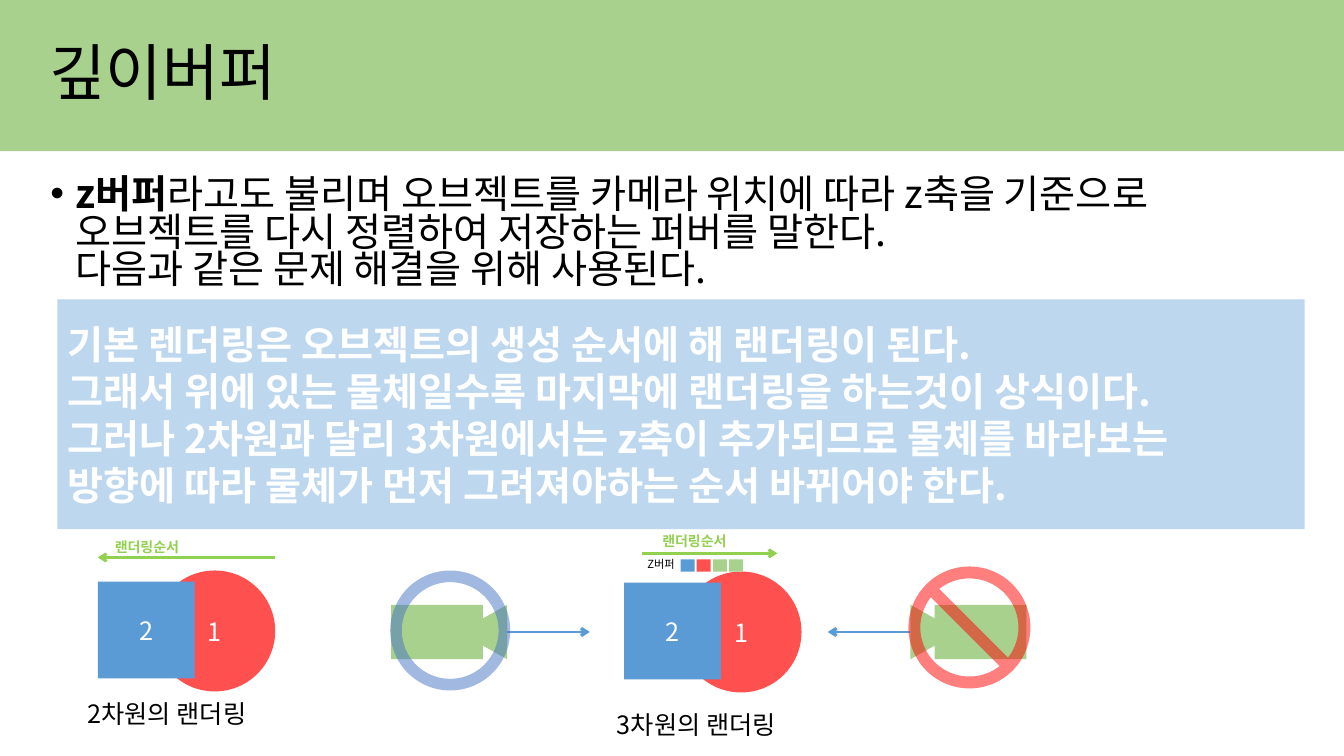
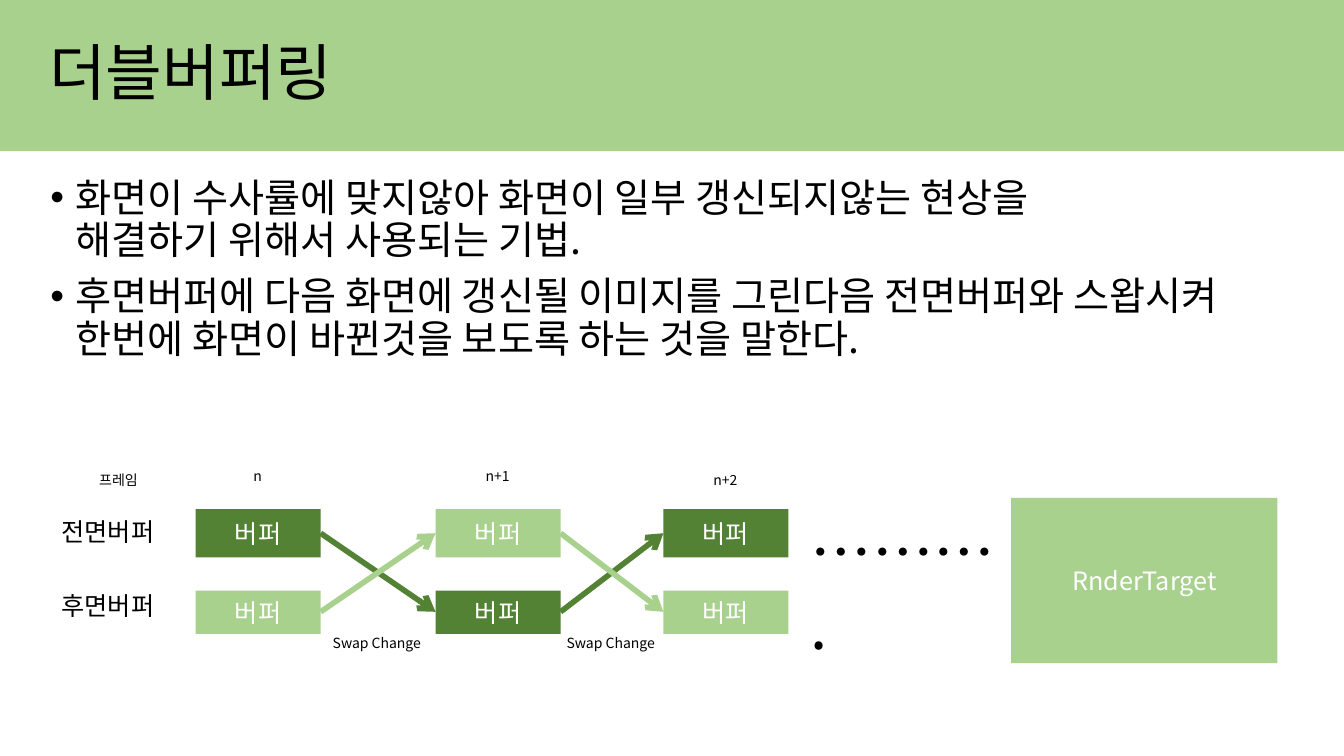
from pptx import Presentation
from pptx.dml.color import RGBColor
from pptx.enum.shapes import MSO_CONNECTOR, MSO_SHAPE as SHAPE
from pptx.enum.text import MSO_ANCHOR as ANCHOR, PP_ALIGN as ALIGN
from pptx.oxml.ns import qn
from pptx.util import Emu, Pt
from lxml.etree import SubElement

PX = 9144  # 100 px to the inch
FONT = "Noto Sans CJK KR"
BLACK, WHITE = "000000", "FFFFFF"
GREEN, DARK_GREEN, LIME = "A9D18E", "548235", "92D050"
BLUE, PALE_BLUE, RED = "5B9BD5", "BDD7EE", "FF5050"
ALLOWED, FORBIDDEN = "4472C4", "FF0000"

# A paragraph is a list of (text, bold) runs.
DEPTH = {
    "title": "깊이버퍼",
    "bullets": [[
        ("z버퍼", True),
        ("라고도 불리며 오브젝트를 카메라 위치에 따라 z축을 기준으로 오브젝트를 다시 "
         "정렬하여 저장하는 퍼버를 말한다.\n다음과 같은 문제 해결을 위해 사용된다.", False),
    ]],
    "problem": "기본 렌더링은 오브젝트의 생성 순서에 해 랜더링이 된다.\n"
               "그래서 위에 있는 물체일수록 마지막에 랜더링을 하는것이 상식이다.\n"
               "그러나 2차원과 달리 3차원에서는 z축이 추가되므로 물체를 바라보는\n"
               "방향에 따라 물체가 먼저 그려져야하는 순서 바뀌어야 한다.",
}
# object corner, caption box, order arrow (from x, to x, y), order label box
RENDERINGS = [
    ((97, 577), "2차원의 랜더링", (77, 688, 305, 41), (273, 97, 553), (104, 529, 109, 27)),
    ((619, 578), "3차원의 랜더링", (602, 699, 196, 40), (637, 771, 549), (647, 523, 109, 27)),
]
CAMERAS = [(503, 1), (903, -1)]  # lens front, facing direction
VERDICTS = [
    (SHAPE.DONUT, (387, 566, 119, 119), ALLOWED, 0.097),
    (SHAPE.NO_SYMBOL, (901, 562, 121, 121), FORBIDDEN, 0.098),
]
Z_BUFFER = [BLUE, RED, GREEN, GREEN]

DOUBLE = {
    "title": "더블버퍼링",
    "bullets": [
        [("화면이 수사률에 맞지않아 화면이 일부 갱신되지않는 현상을\n"
          "해결하기 위해서 사용되는 기법.", False)],
        [("후면버퍼에 다음 화면에 갱신될 이미지를 그린다음 전면버퍼와 스왑시켜 "
          "한번에 화면이 바뀐것을 보도록 하는 것을 말한다.", False)],
    ],
}
FRAMES = [("n", 194, 464), ("n+1", 432, 464), ("n+2", 658, 468)]  # left, label top
BUFFERS = [("전면버퍼", 505, 48, 512), ("후면버퍼", 586, 43, 586)]  # top, height, label top
BUFFER_WIDTH = 124
SHADES = [DARK_GREEN, GREEN]


def box(rect):
    return [Emu(length * PX) for length in rect]


def color(value):
    return RGBColor.from_string(value)


def write(shape, text, size=18, ink=BLACK, bold=False, align=ALIGN.LEFT,
          anchor=ANCHOR.TOP, spacing=None, bullet=False, inset=True):
    """Fill a shape with a string or a list of paragraphs."""
    frame = shape.text_frame
    frame.word_wrap = True
    frame.vertical_anchor = anchor
    if not inset:
        frame.margin_left = frame.margin_right = frame.margin_top = frame.margin_bottom = 0
    paragraphs = [[(text, bold)]] if isinstance(text, str) else text
    for index, runs in enumerate(paragraphs):
        paragraph = frame.add_paragraph() if index else frame.paragraphs[0]
        paragraph.alignment = align
        if spacing:
            paragraph.line_spacing = spacing
        if bullet:
            if index:
                paragraph.space_before = Pt(10)
            properties = paragraph._p.get_or_add_pPr()
            properties.set("marL", str(25 * PX))
            properties.set("indent", str(-25 * PX))
            SubElement(properties, qn("a:buFont")).set("typeface", "Arial")
            SubElement(properties, qn("a:buChar")).set("char", "•")
        for content, strong in runs:
            for number, line in enumerate(content.split("\n")):
                if number:
                    paragraph.add_line_break()
                run = paragraph.add_run()
                run.text = line
                font = run.font
                font.size, font.bold, font.name = Pt(size), strong, FONT
                font.color.rgb = color(ink)
                SubElement(run._r.get_or_add_rPr(), qn("a:ea")).set("typeface", FONT)


def add_text(slide, rect, text, **text_format):
    write(slide.shapes.add_textbox(*box(rect)), text, **text_format)


def add_shape(slide, rect, fill, kind=SHAPE.RECTANGLE, text=None, rotation=0,
              adjustment=None, opacity=None, **text_format):
    shape = slide.shapes.add_shape(kind, *box(rect))
    shape.shadow.inherit = False
    shape.fill.solid()
    shape.fill.fore_color.rgb = color(fill)
    shape.line.fill.background()
    shape.rotation = rotation
    if adjustment is not None:
        shape.adjustments[0] = adjustment
    if opacity is not None:
        shade = shape._element.spPr.find(qn("a:solidFill"))[0]
        SubElement(shade, qn("a:alpha")).set("val", str(opacity * 1000))
    if text:
        style = {"ink": WHITE, "align": ALIGN.CENTER, "anchor": ANCHOR.MIDDLE}
        write(shape, text, **{**style, **text_format})


def add_arrow(slide, start, end, ink, width=2):
    arrow = slide.shapes.add_connector(MSO_CONNECTOR.STRAIGHT, *box(start + end))
    arrow.line.color.rgb = color(ink)
    arrow.line.width = Pt(width)
    SubElement(arrow.line._get_or_add_ln(), qn("a:tailEnd")).set("type", "arrow")
    SubElement(arrow._element.spPr, qn("a:effectLst"))


def add_base(presentation, content, body_height, spacing):
    """Add a slide with the title band and the bulleted body."""
    slide = presentation.slides.add_slide(presentation.slide_layouts[6])
    add_shape(slide, (0, 0, 1333, 150), GREEN)
    add_text(slide, (39, 2, 1150, 145), content["title"], size=44,
             anchor=ANCHOR.MIDDLE, spacing=0.9)
    add_text(slide, (40, 172, 1271, body_height), content["bullets"], size=28,
             spacing=spacing, bullet=True)
    return slide


def add_camera(slide, front, facing):
    def left(near, width):
        """Left edge of a part whose far side lies `near` px behind the lens front."""
        return front - near if facing > 0 else front + near - width

    add_shape(slide, (left(51, 54), 603, 54, 48), GREEN, SHAPE.FLOWCHART_EXTRACT,
              rotation=-90 * facing)
    add_shape(slide, (left(115, 91), 600, 91, 54), GREEN)
    add_arrow(slide, (front, 627), (front + 82 * facing, 627), BLUE)


def build_depth_buffer(presentation):
    slide = add_base(presentation, DEPTH, 135, 0.8)
    add_shape(slide, (57, 297, 1237, 228), PALE_BLUE, text=DEPTH["problem"], size=28,
              bold=True, align=ALIGN.LEFT)
    for (left, top), caption, caption_box, (start, end, level), label_box in RENDERINGS:
        add_shape(slide, (left + 56, top - 11, 120, 120), RED, SHAPE.OVAL, text="1")
        add_shape(slide, (left, top, 96, 96), BLUE, text="2")
        add_text(slide, caption_box, caption)
        add_arrow(slide, (start, level), (end, level), LIME)
        add_text(slide, label_box, "랜더링순서", size=10, ink=LIME, bold=True)
    for front, facing in CAMERAS:
        add_camera(slide, front, facing)
    for kind, rect, fill, adjustment in VERDICTS:
        add_shape(slide, rect, fill, kind, adjustment=adjustment, opacity=50)
    add_text(slide, (642, 553, 32, 13), "Z버퍼", size=8, inset=False)
    for index, fill in enumerate(Z_BUFFER):
        add_shape(slide, (675 + 16 * index, 555, 14, 12), fill)


def build_double_buffering(presentation):
    slide = add_base(presentation, DOUBLE, 223, 0.9)
    small = {"size": 10, "inset": False}
    add_text(slide, (78, 468, 79, 17), "프레임", align=ALIGN.CENTER, **small)
    for column, (name, left, label_top) in enumerate(FRAMES):
        label_left = left + (BUFFER_WIDTH - 79) // 2
        add_text(slide, (label_left, label_top, 79, 17), name, align=ALIGN.CENTER, **small)
        for row, (_, top, height, _) in enumerate(BUFFERS):
            add_shape(slide, (left, top, BUFFER_WIDTH, height),
                      SHADES[(column + row) % 2], text="버퍼")
    for name, _, _, label_top in BUFFERS:
        add_text(slide, (61, label_top, 113, 30), name, inset=False)

    centers = [top + height // 2 for _, top, height, _ in BUFFERS]
    gaps = [(here[1] + BUFFER_WIDTH, following[1])
            for here, following in zip(FRAMES, FRAMES[1:])]
    for shade, ink in enumerate(SHADES):
        for column, (start, end) in enumerate(gaps):
            row = (column + shade) % 2
            add_arrow(slide, (start, centers[row]), (end, centers[1 - row]), ink, width=4)
    for start, end in gaps:
        add_text(slide, ((start + end - 89) // 2, 629, 91, 17), "Swap Change", **small)
    add_text(slide, (804, 510, 190, 74), "……….", size=44, inset=False)
    add_shape(slide, (1003, 494, 264, 164), GREEN, text="RnderTarget")


def main():
    presentation = Presentation()
    presentation.slide_width, presentation.slide_height = box((1333, 750))
    build_depth_buffer(presentation)
    build_double_buffering(presentation)
    presentation.save("out.pptx")


if __name__ == "__main__":
    main()
